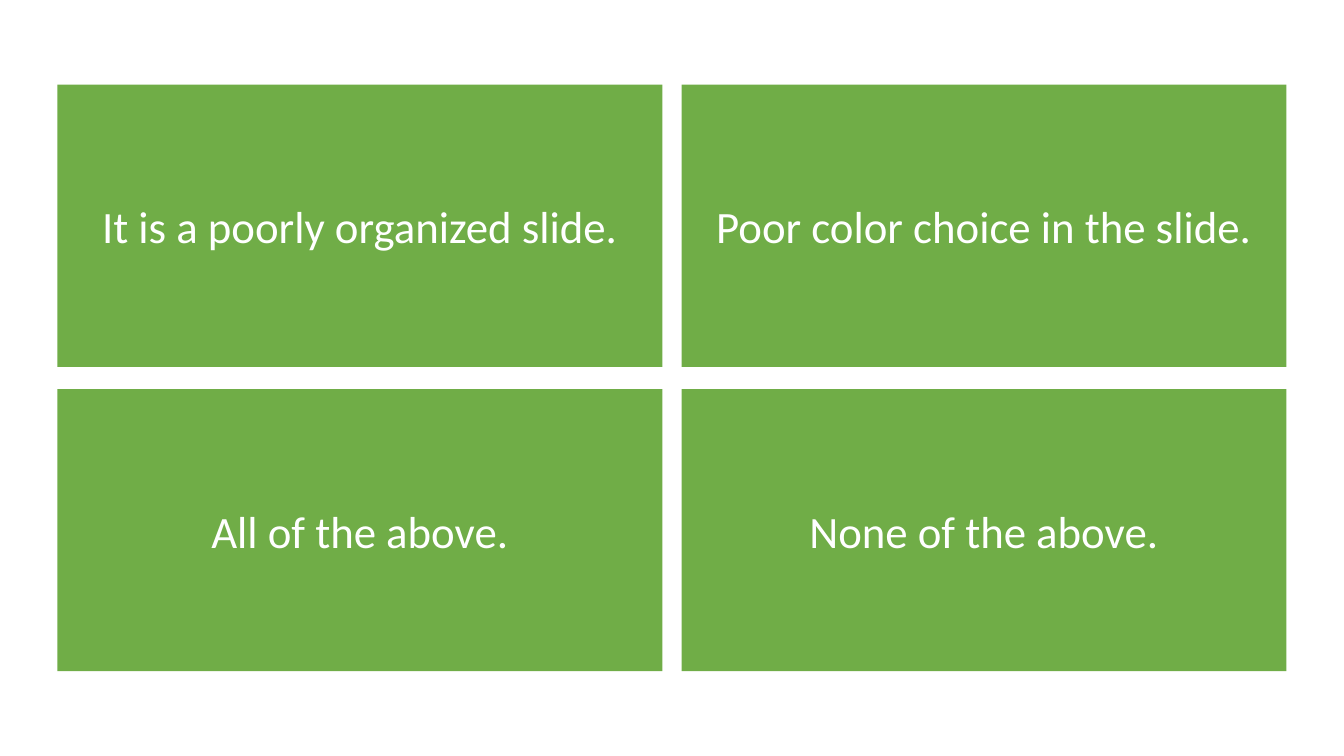
from pptx import Presentation
from pptx.dml.color import RGBColor
from pptx.enum.shapes import MSO_SHAPE
from pptx.enum.text import MSO_ANCHOR, PP_ALIGN
from pptx.util import Inches, Pt

RECTANGLE = MSO_SHAPE.RECTANGLE
MIDDLE = MSO_ANCHOR.MIDDLE
CENTER = PP_ALIGN.CENTER

# Content: answer choices, row by row
ANSWERS = [
    ["It is a poorly organized slide.", "Poor color choice in the slide."],
    ["All of the above.", "None of the above."],
]
GREEN, WHITE = "70AD47", "FFFFFF"

# Grid, in inches
LEFT, TOP = 0.57, 0.84
WIDTH, HEIGHT = 6, 2.8
COLUMN_GAP, ROW_GAP = 0.19, 0.22
MARGIN = 0.08


def color(value):
    return RGBColor.from_string(value)


def add_answer(page, text, left, top):
    box = page.shapes.add_shape(
        RECTANGLE, Inches(left), Inches(top), Inches(WIDTH), Inches(HEIGHT))
    box.shadow.inherit = False
    box.fill.solid()
    box.fill.fore_color.rgb = color(GREEN)
    box.line.fill.background()

    frame = box.text_frame
    frame.word_wrap = True
    frame.vertical_anchor = MIDDLE
    frame.margin_left = frame.margin_right = Inches(MARGIN)
    frame.margin_top = frame.margin_bottom = Inches(MARGIN)

    para = frame.paragraphs[0]
    para.alignment = CENTER
    span = para.add_run()
    span.text = text
    span.font.name = "Calibri"
    span.font.size = Pt(32)
    span.font.color.rgb = color(WHITE)


deck = Presentation()
deck.slide_width, deck.slide_height = Inches(13.33), Inches(7.5)
page = deck.slides.add_slide(deck.slide_layouts[6])

# Answer grid
for row, answers in enumerate(ANSWERS):
    for column, answer in enumerate(answers):
        add_answer(page, answer,
                   LEFT + column * (WIDTH + COLUMN_GAP),
                   TOP + row * (HEIGHT + ROW_GAP))

deck.save("out.pptx")
